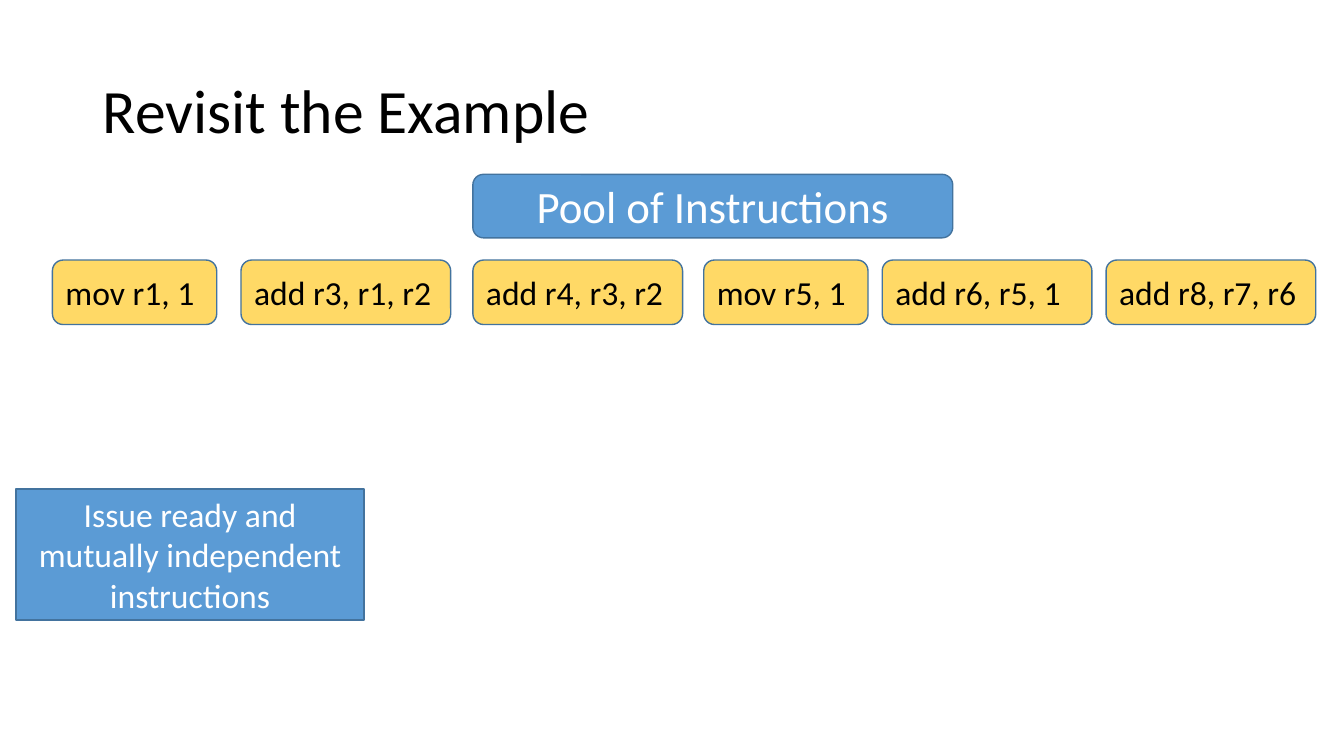
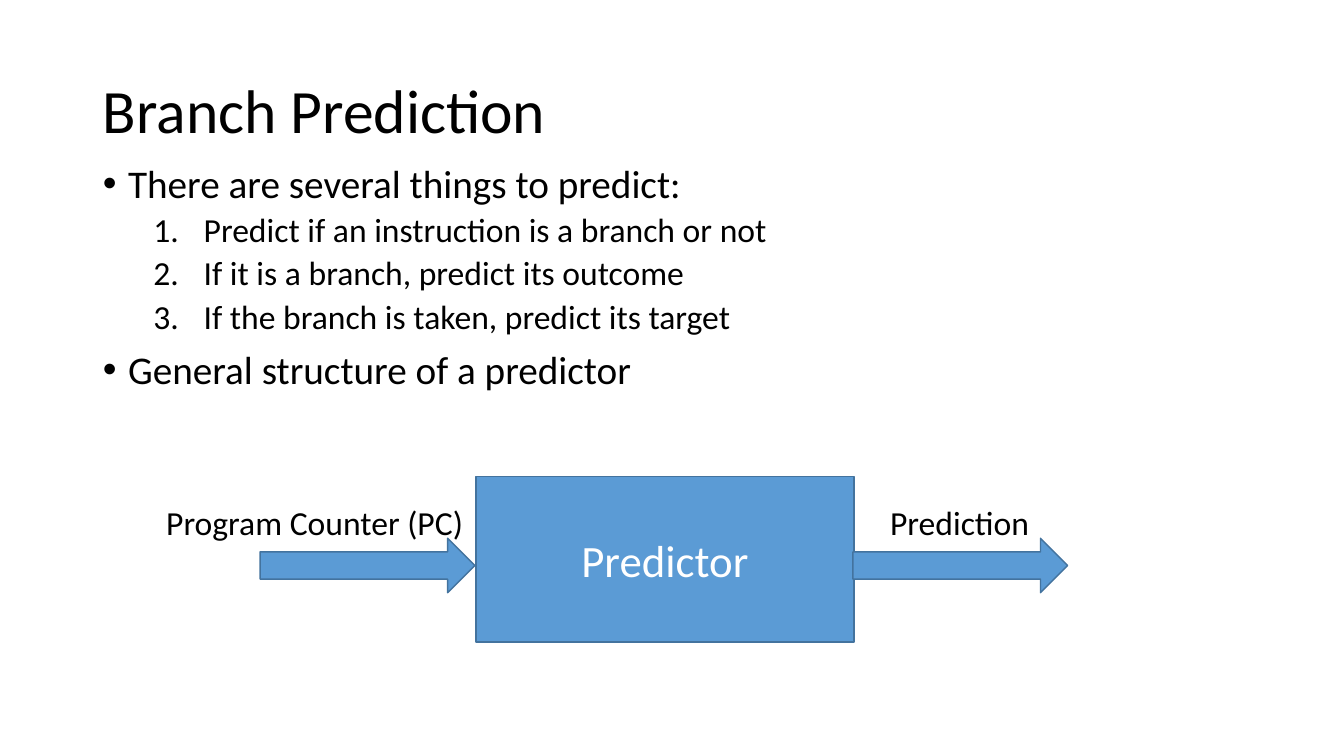
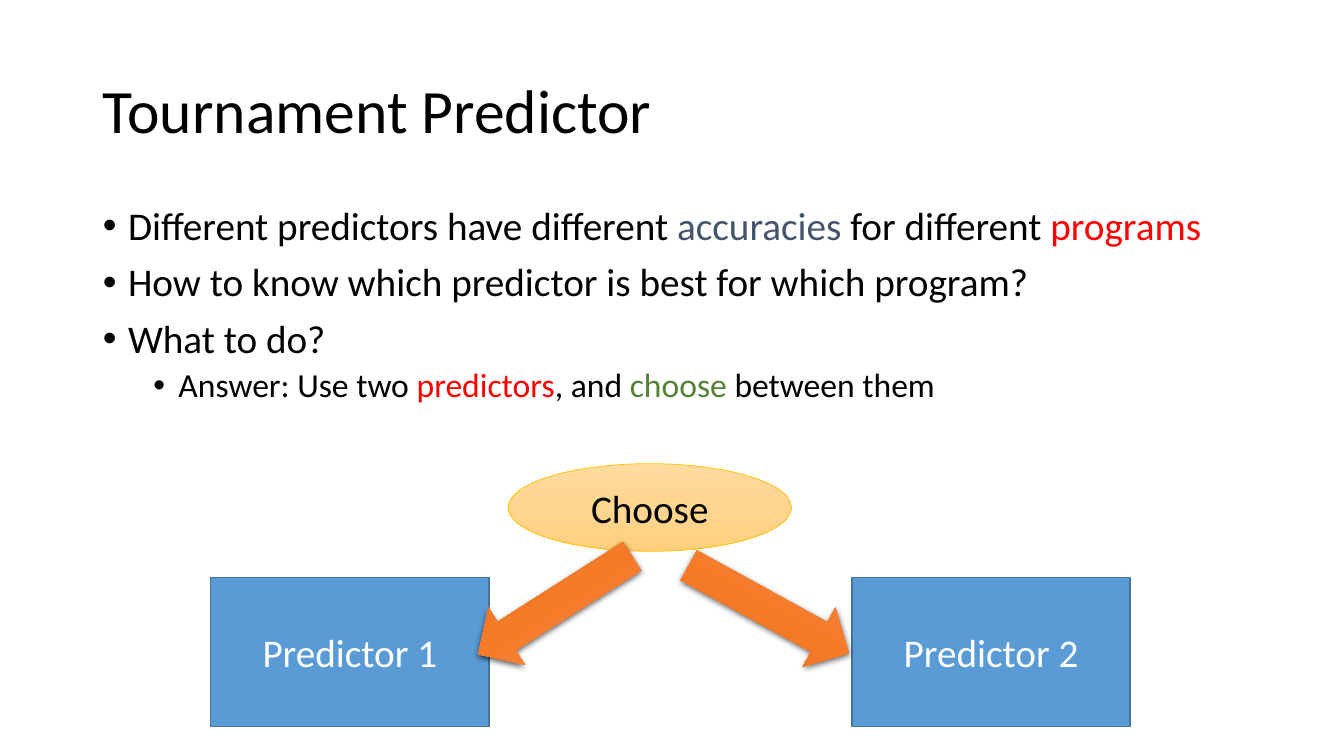
from lxml import etree
from pptx import Presentation
from pptx.dml.color import RGBColor
from pptx.enum.shapes import MSO_SHAPE
from pptx.enum.text import MSO_ANCHOR, MSO_AUTO_SIZE, PP_ALIGN
from pptx.oxml import parse_xml
from pptx.oxml.ns import nsdecls, qn
from pptx.util import Inches, Pt

LEFT, CENTER = PP_ALIGN.LEFT, PP_ALIGN.CENTER
MIDDLE, TOP = MSO_ANCHOR.MIDDLE, MSO_ANCHOR.TOP
NO_FIT = MSO_AUTO_SIZE.NONE
RECT, ROUNDED = MSO_SHAPE.RECTANGLE, MSO_SHAPE.ROUNDED_RECTANGLE
PROCESS, OVAL, ARROW = MSO_SHAPE.FLOWCHART_PROCESS, MSO_SHAPE.OVAL, MSO_SHAPE.RIGHT_ARROW

FONT = "Calibri"
BLACK, WHITE, RED = "000000", "FFFFFF", "FF0000"
SLATE, GREEN = "44546A", "548235"
BLUE, OUTLINE, YELLOW, GOLD = "5B9BD5", "43739E", "FFD966", "FFC000"
PEACH_STOPS = ("FFDB9E", "FFD590", "FFD07C")
ORANGE_STOPS = ("F18C57", "F67B28", "E56C19")
TITLE_ONLY, TITLE_AND_BODY = 5, 1
MARGIN, CONTENT_WIDTH = 0.92, 11.5

# Slide 1: instruction and left edge; the width follows from the opcode
INSTRUCTIONS = [
    ("mov r1, 1", 0.52), ("add r3, r1, r2", 2.39), ("add r4, r3, r2", 4.69),
    ("mov r5, 1", 6.98), ("add r6, r5, 1", 8.75), ("add r8, r7, r6", 10.97),
]
OPCODE_WIDTH = {"mov": 1.63, "add": 2.08}

# List items: kind, then runs of (text, colour)
PREDICTION_ITEMS = [
    ("bullet", [("There are several things to predict:", BLACK)]),
    ("number", [("Predict if an instruction is a branch or not", BLACK)]),
    ("number", [("If it is a branch, predict its outcome", BLACK)]),
    ("number", [("If the branch is taken, predict its target", BLACK)]),
    ("bullet", [("General structure of a predictor", BLACK)]),
]
TOURNAMENT_ITEMS = [
    ("bullet", [("Different predictors have different ", BLACK), ("accuracies", SLATE),
                (" for different ", BLACK), ("programs", RED)]),
    ("bullet", [("How to know which predictor is best for which program?", BLACK)]),
    ("bullet", [("What to do?", BLACK)]),
    ("sub-bullet", [("Answer: Use two ", BLACK), ("predictors", RED), (", and ", BLACK),
                    ("choose", GREEN), (" between them", BLACK)]),
]
# Kind: level, left margin, hanging indent, size, space before
ITEM_STYLES = {
    "bullet": (0, 0.25, 0.25, 28, 10),
    "sub-bullet": (1, 0.75, 0.25, 24, 5),
    "number": (1, 1, 0.5, 24, 5),
}

# Slide 2: label, label left, label width, arrow left
SIGNALS = [("Program Counter (PC)", 1.55, 3.17, 2.58), ("Prediction", 8.73, 1.6, 8.46)]

# Slide 3: label, box left, arrow left, arrow top, arrow rotation
PREDICTORS = [("Predictor 2", 8.45, 6.72, 5.71, 28.8), ("Predictor 1", 2.09, 4.6, 5.67, 147.5)]


def rgb(code):
    return RGBColor.from_string(code)


def style_font(font, size, color):
    font.name, font.size, font.color.rgb = FONT, Pt(size), rgb(color)


def place(shape, left, top, width, height):
    shape.left, shape.top = Inches(left), Inches(top)
    shape.width, shape.height = Inches(width), Inches(height)


def new_slide(prs, layout, title):
    slide = prs.slides.add_slide(prs.slide_layouts[layout])
    heading = slide.shapes.title
    place(heading, MARGIN, 0.4, CONTENT_WIDTH, 1.45)
    frame = heading.text_frame
    frame.text, frame.vertical_anchor, frame.auto_size = title, MIDDLE, NO_FIT
    line = frame.paragraphs[0]
    line.alignment, line.line_spacing = LEFT, 0.9
    style_font(line.font, 44, BLACK)
    return slide


def fill_body(slide, items, top, height):
    body = slide.placeholders[1]
    place(body, MARGIN, top, CONTENT_WIDTH, height)
    frame = body.text_frame
    frame.vertical_anchor, frame.auto_size = TOP, NO_FIT
    for index, (kind, runs) in enumerate(items):
        level, margin, hanging, size, before = ITEM_STYLES[kind]
        item = frame.add_paragraph() if index else frame.paragraphs[0]
        item.level, item.alignment, item.line_spacing = level, LEFT, 0.9
        item.space_before, item.space_after = Pt(before), Pt(0)
        for text, color in runs:
            run = item.add_run()
            run.text = text
            style_font(run.font, size, color)
        props = item._p.get_or_add_pPr()
        props.set("marL", str(Inches(margin)))
        props.set("indent", str(-Inches(hanging)))
        if kind == "number":
            etree.SubElement(props, qn("a:buFont"), typeface="+mj-lt")
            etree.SubElement(props, qn("a:buAutoNum"), type="arabicPeriod")
        else:
            etree.SubElement(props, qn("a:buFont"), typeface="Arial")
            etree.SubElement(props, qn("a:buChar"), char="•")


def add_box(slide, kind, box, text="", size=24, fill=BLUE, color=WHITE,
            align=CENTER, line=OUTLINE, line_width=1):
    """Add a preset shape; fill is one colour or three gradient stops."""
    shape = slide.shapes.add_shape(kind, *map(Inches, box))
    if isinstance(fill, str):
        shape.fill.solid()
        shape.fill.fore_color.rgb = rgb(fill)
    else:
        stops = "".join(f'<a:gs pos="{i * 50000}"><a:srgbClr val="{code}"/></a:gs>'
                        for i, code in enumerate(fill))
        geometry = shape._element.spPr.find(qn("a:prstGeom"))
        geometry.addnext(parse_xml(
            f'<a:gradFill {nsdecls("a")} rotWithShape="1"><a:gsLst>{stops}</a:gsLst>'
            '<a:lin ang="5400000" scaled="0"/></a:gradFill>'))
    if line:
        shape.line.color.rgb = rgb(line)
        shape.line.width = Pt(line_width)
    else:
        shape.line.fill.background()
    shape.shadow.inherit = False
    if text:
        shape.text_frame.text = text
        label = shape.text_frame.paragraphs[0]
        label.alignment = align
        style_font(label.font, size, color)
    return shape


def add_drop_shadow(shape):
    effects = shape._element.spPr.find(qn("a:effectLst"))
    effects.append(parse_xml(
        f'<a:outerShdw {nsdecls("a")} blurRad="{Pt(4.5)}" dist="{Pt(1.5)}" dir="5400000" '
        'algn="ctr" rotWithShape="0"><a:srgbClr val="000000"><a:alpha val="63000"/>'
        '</a:srgbClr></a:outerShdw>'))


def add_label(slide, text, box):
    label = slide.shapes.add_textbox(*map(Inches, box))
    label.text_frame.text = text
    label.text_frame.word_wrap = False
    style_font(label.text_frame.paragraphs[0].font, 24, BLACK)


def build_example(prs):
    slide = new_slide(prs, TITLE_ONLY, "Revisit the Example")
    for instruction, left in INSTRUCTIONS:
        width = OPCODE_WIDTH[instruction.split()[0]]
        add_box(slide, ROUNDED, (left, 2.58, width, 0.64), instruction,
                fill=YELLOW, color=BLACK, align=LEFT)
    add_box(slide, ROUNDED, (4.69, 1.73, 4.76, 0.63), "Pool of Instructions", 32)
    add_box(slide, RECT, (0.16, 4.85, 3.45, 1.3),
            "Issue ready and mutually independent instructions")


def build_branch_prediction(prs):
    slide = new_slide(prs, TITLE_AND_BODY, "Branch Prediction")
    fill_body(slide, PREDICTION_ITEMS, 1.58, 2.67)
    add_box(slide, PROCESS, (4.72, 4.73, 3.75, 1.64), "Predictor", 32)
    for text, label_left, label_width, arrow_left in SIGNALS:
        add_box(slide, ARROW, (arrow_left, 5.34, 2.13, 0.54))
        add_label(slide, text, (label_left, 4.93, label_width, 0.5))


def build_tournament(prs):
    slide = new_slide(prs, TITLE_AND_BODY, "Tournament Predictor")
    fill_body(slide, TOURNAMENT_ITEMS, 2, 2.29)
    for name, left, *_ in PREDICTORS:
        add_box(slide, RECT, (left, 5.73, 2.76, 1.48), name, 28)
    add_box(slide, OVAL, (5.04, 4.6, 2.81, 0.87), "Choose", 28, PEACH_STOPS, BLACK,
            line=GOLD, line_width=0.5)
    for _, _, left, top, rotation in PREDICTORS:
        arrow = add_box(slide, ARROW, (left, top, 1.81, 0.67), fill=ORANGE_STOPS, line=None)
        arrow.rotation = rotation
        add_drop_shadow(arrow)


def main():
    prs = Presentation()
    prs.slide_width, prs.slide_height = Inches(13.33), Inches(7.5)
    build_example(prs)
    build_branch_prediction(prs)
    build_tournament(prs)
    prs.save("out.pptx")


if __name__ == "__main__":
    main()
